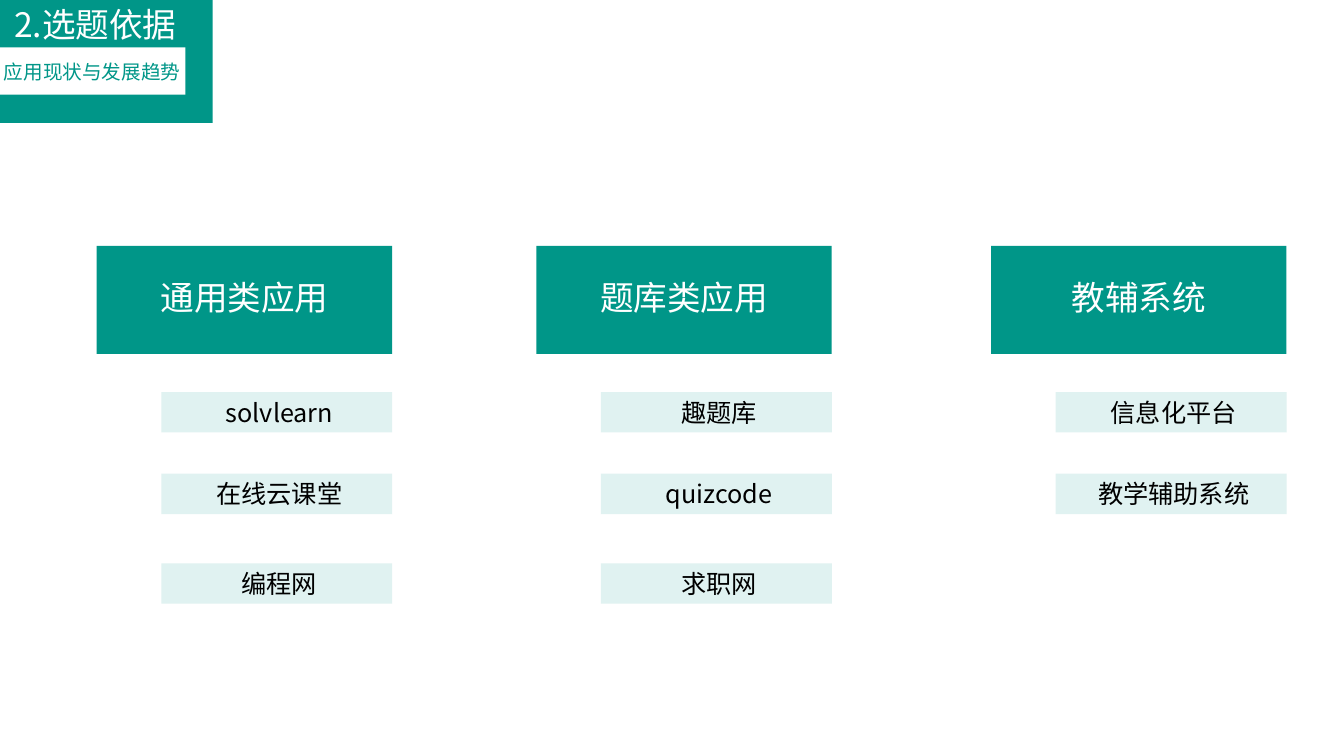
from dataclasses import dataclass

from pptx import Presentation
from pptx.dml.color import RGBColor
from pptx.enum.shapes import MSO_SHAPE
from pptx.enum.text import MSO_ANCHOR, PP_ALIGN
from pptx.util import Emu, Pt

PX = 9144  # 100 px to the inch
FONT = "Noto Sans CJK SC"
COLORS = {"teal": "009688", "mint": "E0F2F1", "white": "FFFFFF", "black": "000000"}

HEADING_TOP, HEADING_W, HEADING_H = 244, 293, 107
ITEM_TOPS = (389, 470, 559)
ITEM_INDENT, ITEM_H = 64, 40


@dataclass(frozen=True)
class Style:
    fill: str
    color: str
    size: int
    insets: tuple[int, int, int, int]  # left, top, right, bottom
    anchor: MSO_ANCHOR = MSO_ANCHOR.TOP
    line_spacing: float = 1.0


@dataclass(frozen=True)
class Column:
    left: int
    heading: str
    items: tuple[str, ...]


TITLE = Style("teal", "white", 24, (0, 5, 21, 5))
SUBTITLE = Style("white", "teal", 14, (0, 12, 0, 0))
HEADING = Style("teal", "white", 24, (17, 10, 17, 10), MSO_ANCHOR.MIDDLE, 0.9)
ITEM = Style("mint", "black", 18, (15, 5, 10, 5))

COLUMNS = (
    Column(96, "通用类应用", ("solvlearn", "在线云课堂", "编程网")),
    Column(532, "题库类应用", ("趣题库", "quizcode", "求职网")),
    Column(983, "教辅系统", ("信息化平台", "教学辅助系统")),
)


def px(n: int) -> Emu:
    return Emu(n * PX)


def add_box(s, text: str, left: int, top: int, width: int, height: int, style: Style) -> None:
    sp = s.shapes.add_shape(MSO_SHAPE.RECTANGLE, px(left), px(top), px(width), px(height))
    sp.shadow.inherit = False
    sp.fill.solid()
    sp.fill.fore_color.rgb = RGBColor.from_string(COLORS[style.fill])
    sp.line.fill.background()
    tf = sp.text_frame
    tf.word_wrap = True
    tf.vertical_anchor = style.anchor
    tf.margin_left, tf.margin_top, tf.margin_right, tf.margin_bottom = map(px, style.insets)
    p = tf.paragraphs[0]
    p.text = text
    p.alignment = PP_ALIGN.CENTER
    p.line_spacing = style.line_spacing
    p.font.name = FONT
    p.font.size = Pt(style.size)
    p.font.color.rgb = RGBColor.from_string(COLORS[style.color])


def add_column(s, column: Column) -> None:
    add_box(s, column.heading, column.left, HEADING_TOP, HEADING_W, HEADING_H, HEADING)
    for top, item in zip(ITEM_TOPS, column.items):
        add_box(s, item, column.left + ITEM_INDENT, top, HEADING_W - ITEM_INDENT, ITEM_H, ITEM)


def main() -> None:
    prs = Presentation()
    prs.slide_width, prs.slide_height = px(1333), px(750)
    s = prs.slides.add_slide(prs.slide_layouts[6])

    # Corner title
    add_box(s, "2.选题依据", -1, -1, 212, 123, TITLE)
    add_box(s, "应用现状与发展趋势", -1, 47, 185, 47, SUBTITLE)

    # Application categories
    for column in COLUMNS:
        add_column(s, column)

    prs.save("out.pptx")


if __name__ == "__main__":
    main()
